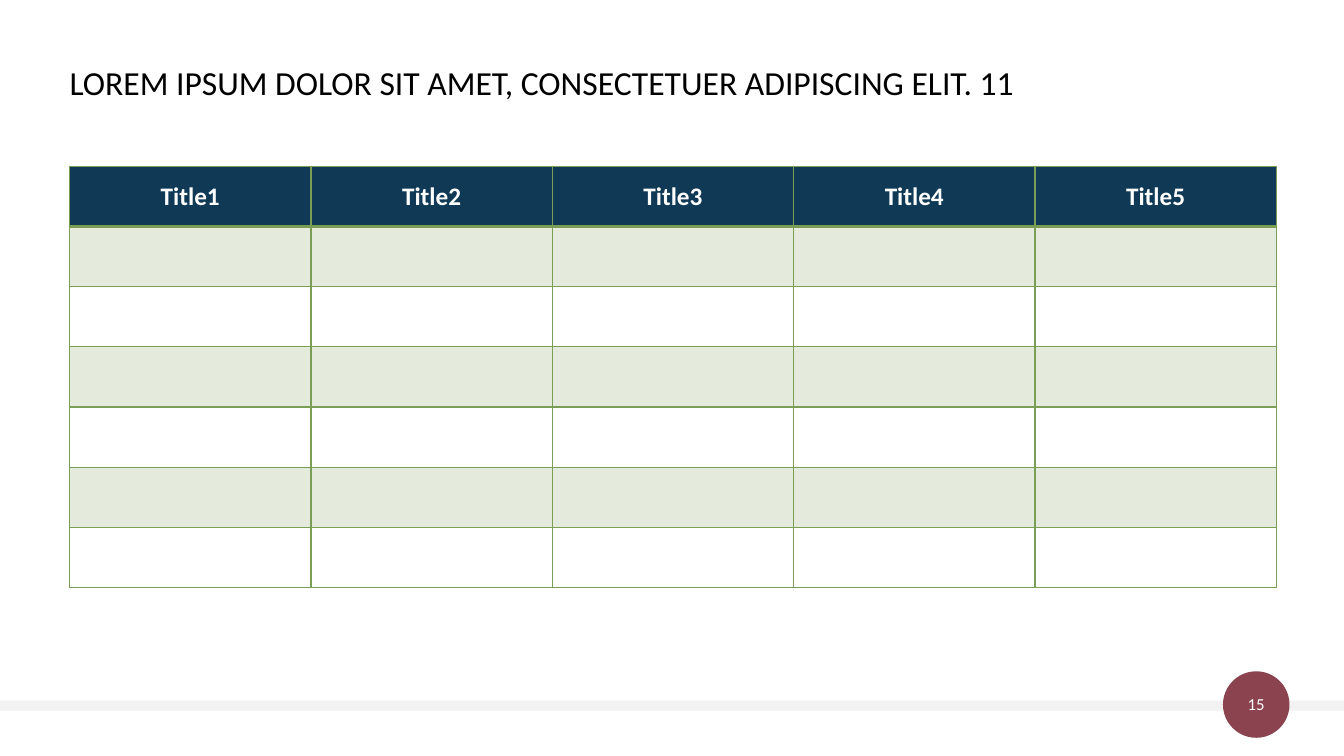
import pptx
import pptx.util
import pptx.dml.color
import pptx.enum.shapes
import pptx.enum.text
import pptx.oxml.ns
from lxml import etree

Inches, Pt = pptx.util.Inches, pptx.util.Pt
RGBColor = pptx.dml.color.RGBColor
MSO_SHAPE = pptx.enum.shapes.MSO_SHAPE
ALIGN, ANCHOR = pptx.enum.text.PP_ALIGN, pptx.enum.text.MSO_ANCHOR
qn = pptx.oxml.ns.qn

TITLE = "LOREM IPSUM DOLOR SIT AMET, CONSECTETUER ADIPISCING ELIT. 11"
HEADINGS = ["Title1", "Title2", "Title3", "Title4", "Title5"]
BODY_ROWS = 6
PAGE_NUMBER = "15"

FONT = "Calibri"
BLACK = RGBColor(0x00, 0x00, 0x00)
WHITE = RGBColor(0xFF, 0xFF, 0xFF)
PALE_GREY = RGBColor(0xF2, 0xF2, 0xF2)
WINE = RGBColor(0x8A, 0x43, 0x4F)
NAVY = RGBColor(0x0F, 0x39, 0x55)
GREEN = RGBColor(0x7A, 0x9E, 0x56)
BAND_OPACITY = 20

LEFT, TABLE_TOP = 0.69, 1.65
TABLE_WIDTH, TABLE_HEIGHT = 11.97, 4.18


def add_plain_shape(page, kind, bounds, color):
    shape = page.shapes.add_shape(kind, *map(Inches, bounds))
    shape.shadow.inherit = False
    shape.fill.solid()
    shape.fill.fore_color.rgb = color
    shape.line.fill.background()


def write(frame, text, size, color, align=ALIGN.LEFT, bold=False):
    para = frame.paragraphs[0]
    para.text = text
    para.alignment = align
    font = para.runs[0].font
    font.name, font.size, font.bold = FONT, Pt(size), bold
    font.color.rgb = color
    return para


def add_text(page, bounds, insets, anchor, *content):
    """Place a text box; insets run left, top, right, bottom."""
    frame = page.shapes.add_textbox(*map(Inches, bounds)).text_frame
    frame.word_wrap = True
    frame.vertical_anchor = anchor
    (frame.margin_left, frame.margin_top,
     frame.margin_right, frame.margin_bottom) = map(Inches, insets)
    return write(frame, *content)


def set_borders(cell, bottom_width):
    """Draw the four sides; call before filling, as lines precede the fill."""
    properties = cell._tc.get_or_add_tcPr()
    widths = {"a:lnL": 1, "a:lnR": 1, "a:lnT": 1, "a:lnB": bottom_width}
    for side, width in widths.items():
        line = etree.SubElement(properties, qn(side), w=str(int(Pt(width))))
        fill = etree.SubElement(line, qn("a:solidFill"))
        etree.SubElement(fill, qn("a:srgbClr"), val=str(GREEN))


def fill_cell(cell, color, opacity=100):
    cell.fill.solid()
    cell.fill.fore_color.rgb = color
    if opacity < 100:
        tint = cell._tc.tcPr.find(qn("a:solidFill")).find(qn("a:srgbClr"))
        etree.SubElement(tint, qn("a:alpha"), val=str(opacity * 1000))


def add_grid(page):
    table = page.shapes.add_table(
        BODY_ROWS + 1, len(HEADINGS), Inches(LEFT), Inches(TABLE_TOP),
        Inches(TABLE_WIDTH), Inches(TABLE_HEIGHT)).table
    table.horz_banding = False
    for row_index, row in enumerate(table.rows):
        for column_index, cell in enumerate(row.cells):
            is_header = row_index == 0
            set_borders(cell, 2 if is_header else 1)
            if is_header:
                fill_cell(cell, NAVY)
                cell.vertical_anchor = ANCHOR.MIDDLE
                write(cell.text_frame, HEADINGS[column_index], 18, WHITE,
                      ALIGN.CENTER, True)
            elif row_index % 2:
                fill_cell(cell, GREEN, BAND_OPACITY)
            else:
                cell.fill.background()


def main():
    deck = pptx.Presentation()
    deck.slide_width, deck.slide_height = Inches(13.33), Inches(7.5)
    page = deck.slides.add_slide(deck.slide_layouts[6])
    add_plain_shape(page, MSO_SHAPE.RECTANGLE, (0, 6.95, 13.33, 0.1), PALE_GREY)
    add_plain_shape(page, MSO_SHAPE.OVAL, (12.13, 6.66, 0.66, 0.66), WINE)
    add_text(page, (12.13, 6.77, 0.66, 0.43), (0, 0, 0, 0), ANCHOR.MIDDLE,
             PAGE_NUMBER, 12, WHITE, ALIGN.CENTER)
    title = add_text(page, (LEFT, 0.61, 11.83, 0.91), (0, 0.05, 0.1, 0.05),
                     ANCHOR.TOP, TITLE, 24, BLACK)
    title.line_spacing = 0.9
    add_grid(page)
    deck.save("out.pptx")


if __name__ == "__main__":
    main()
